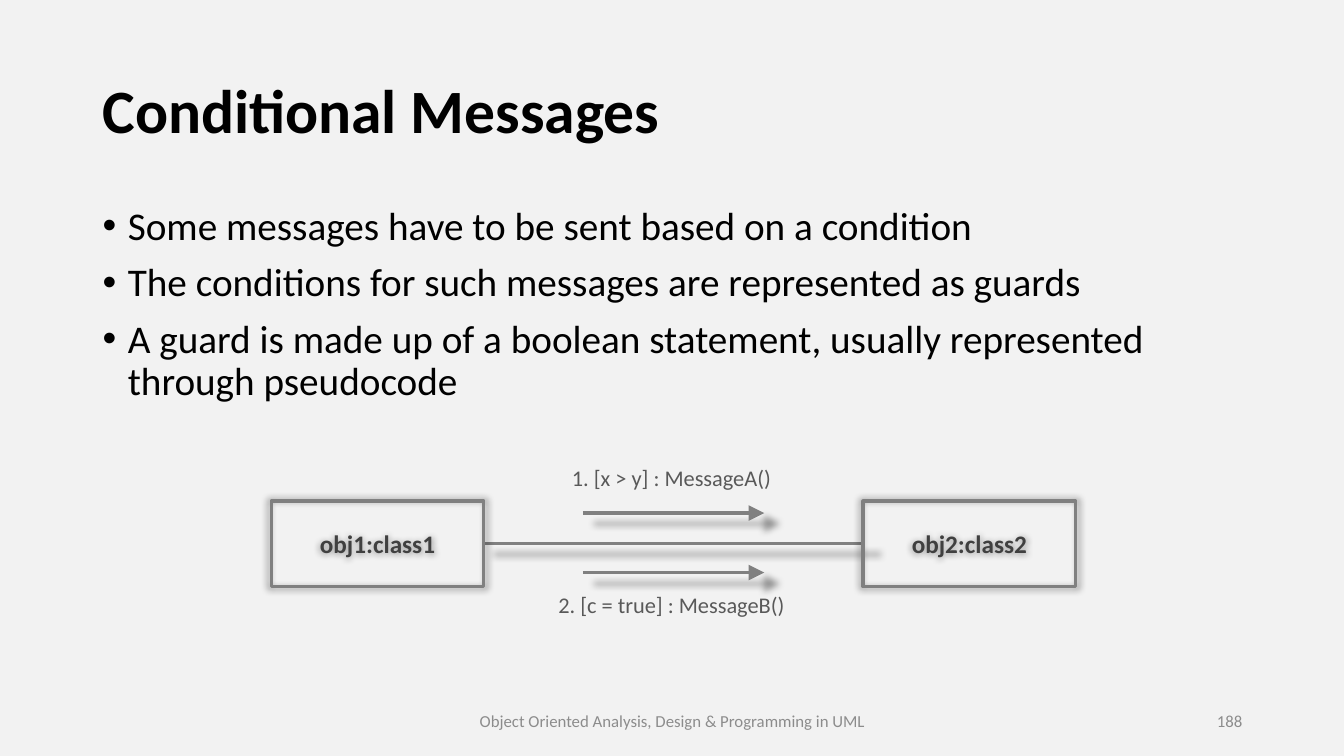
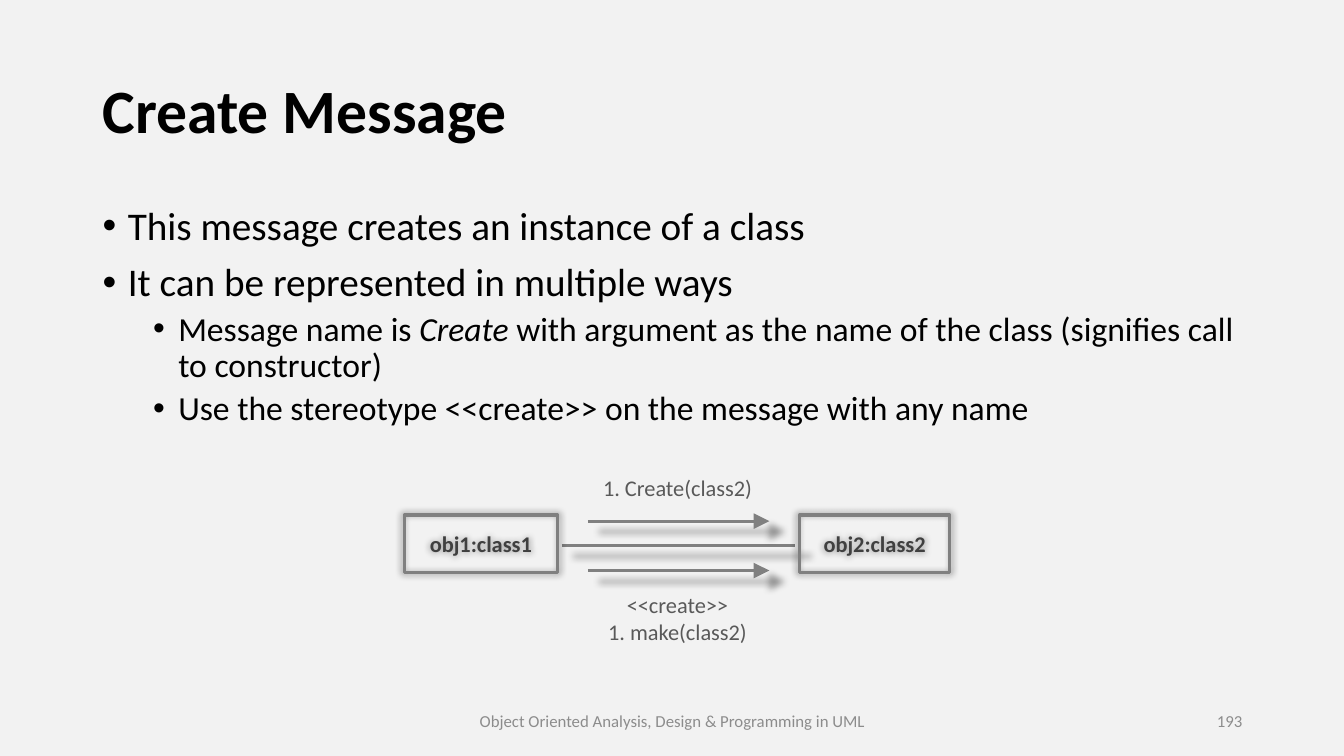
from lxml.etree import SubElement
from pptx import Presentation
from pptx.dml.color import RGBColor
from pptx.enum.shapes import MSO_CONNECTOR, MSO_SHAPE
from pptx.enum.text import MSO_ANCHOR, PP_ALIGN
from pptx.oxml.ns import qn
from pptx.util import Inches, Pt

# Shared look
WIDE, HIGH = 13.33, 7.5
LEFT, SPAN = 0.92, 11.5
FONT = "Calibri"
BACK, INK, GREY, DARK, MID, PALE = (
    "F2F2F2", "000000", "808080", "404040", "595959", "8C8C8C")
FOOT = "Object Oriented Analysis, Design & Programming in UML"
LEVELS = [(28, 10, 0.25), (24, 5, 0.75)]  # size, space before, indent
REACH = 1.8  # length of a message arrow

# Content: bullets are (level, [(text, italic), ...]);
# objects are (name, left, width); messages are (arrow y, label y, lines)
SLIDES = [
    dict(
        title="Conditional Messages", page="188",
        bullets=[
            (0, [("Some messages have to be sent based on a condition", False)]),
            (0, [("The conditions for such messages are represented as guards", False)]),
            (0, [("A guard is made up of a boolean statement, usually "
                  "represented through pseudocode", False)]),
        ],
        objects=[("obj1:class1", 2.69, 2.11), ("obj2:class2", 8.56, 2.11)],
        top=4.97, tall=0.85, size=18, link=5.39, gap=0, start=5.78,
        messages=[(5.09, 4.56, ["1. [x > y] : MessageA()"]),
                  (5.68, 5.82, ["2. [c = true] : MessageB()"])],
        middle=6.66,
    ),
    dict(
        title="Create Message", page="193",
        bullets=[
            (0, [("This message creates an instance of a class", False)]),
            (0, [("It can be represented in multiple ways", False)]),
            (1, [("Message name is ", False), ("Create", True),
                 (" with argument as the name of the class "
                  "(signifies call to constructor)", False)]),
            (1, [("Use the stereotype <<create>> on the message with any name", False)]),
        ],
        objects=[("obj1:class1", 4.01, 1.52), ("obj2:class2", 7.93, 1.49)],
        top=5.11, tall=0.57, size=16, link=5.41, gap=0.04, start=5.83,
        messages=[(5.17, 4.65, ["1. Create(class2)"]),
                  (5.66, 5.82, ["<<create>>", "1. make(class2)"])],
        middle=6.72,
    ),
]


def paint(code):
    return RGBColor.from_string(code)


def add_run(para, text, size, color, bold=False, italic=False):
    run = para.add_run()
    run.text = text
    font = run.font
    font.name, font.size, font.bold, font.italic = FONT, Pt(size), bold, italic
    font.color.rgb = paint(color)


def add_box(slide, x, y, w, h, anchor=MSO_ANCHOR.MIDDLE):
    box = slide.shapes.add_textbox(*map(Inches, (x, y, w, h)))
    box.text_frame.word_wrap = True
    box.text_frame.vertical_anchor = anchor
    return box


def add_text(slide, area, text, size, color, align, bold=False):
    para = add_box(slide, *area).text_frame.paragraphs[0]
    para.alignment = align
    add_run(para, text, size, color, bold)
    return para


def next_para(frame, index):
    return frame.add_paragraph() if index else frame.paragraphs[0]


def add_glow(shape):
    """Soft shadow, slightly larger than the shape."""
    effects = SubElement(shape._element.spPr, qn("a:effectLst"))
    shade = SubElement(effects, qn("a:outerShdw"), blurRad=str(Pt(5)),
                       sx="102000", sy="102000", algn="ctr", rotWithShape="0")
    black = SubElement(shade, qn("a:prstClr"), val="black")
    SubElement(black, qn("a:alpha"), val="40000")


def set_line(shape):
    shape.line.color.rgb = paint(GREY)
    shape.line.width = Pt(2.25)


def add_line(slide, x, end, y, arrow=False):
    line = slide.shapes.add_connector(
        MSO_CONNECTOR.STRAIGHT, *map(Inches, (x, y, end, y)))
    set_line(line)
    if arrow:
        SubElement(line.line._get_or_add_ln(), qn("a:tailEnd"),
                   type="triangle", w="lg", len="lg")
    add_glow(line)


def add_frame(slide, item):
    """Title, footer and page number."""
    title = add_text(slide, (LEFT, 0.4, SPAN, 1.45), item["title"],
                     44, INK, PP_ALIGN.LEFT, True)
    title.line_spacing = 0.9
    add_text(slide, (4.42, 6.95, 4.5, 0.4), FOOT, 12, PALE, PP_ALIGN.CENTER)
    add_text(slide, (LEFT + SPAN - 3, 6.95, 3, 0.4), item["page"],
             12, PALE, PP_ALIGN.RIGHT)


def add_list(slide, bullets):
    frame = add_box(slide, LEFT, 2, SPAN, 2.55, MSO_ANCHOR.TOP).text_frame
    for index, (level, runs) in enumerate(bullets):
        size, before, indent = LEVELS[level]
        para = next_para(frame, index)
        props = para._p.get_or_add_pPr()
        props.set("marL", str(Inches(indent)))
        props.set("indent", str(-Inches(0.25)))
        SubElement(props, qn("a:buFont"), typeface="Arial")
        SubElement(props, qn("a:buChar"), char="•")
        para.level = level
        para.line_spacing = 0.9
        if index:
            para.space_before = Pt(before)
        for text, italic in runs:
            add_run(para, text, size, INK, italic=italic)


def add_scheme(slide, item):
    """Two linked objects with the messages sent between them."""
    (_, left, width), (_, right, _) = item["objects"]
    add_line(slide, left + width + item["gap"], right - item["gap"], item["link"])
    for name, x, w in item["objects"]:
        box = slide.shapes.add_shape(
            MSO_SHAPE.RECTANGLE, *map(Inches, (x, item["top"], w, item["tall"])))
        box.fill.background()
        set_line(box)
        add_glow(box)
        box.text_frame.vertical_anchor = MSO_ANCHOR.MIDDLE
        para = box.text_frame.paragraphs[0]
        para.alignment = PP_ALIGN.CENTER
        add_run(para, name, item["size"], DARK, True)
    for y, top, lines in item["messages"]:
        add_line(slide, item["start"], item["start"] + REACH, y, True)
        frame = add_box(slide, item["middle"] - 1.5, top, 3,
                        0.1 + 0.27 * len(lines), MSO_ANCHOR.TOP).text_frame
        for index, text in enumerate(lines):
            para = next_para(frame, index)
            para.alignment = PP_ALIGN.CENTER
            add_run(para, text, 16, MID)


def main():
    prs = Presentation()
    prs.slide_width, prs.slide_height = Inches(WIDE), Inches(HIGH)
    fill = prs.slide_master.background.fill
    fill.solid()
    fill.fore_color.rgb = paint(BACK)
    for item in SLIDES:
        slide = prs.slides.add_slide(prs.slide_layouts[6])
        add_frame(slide, item)
        add_list(slide, item["bullets"])
        add_scheme(slide, item)
    prs.save("out.pptx")


if __name__ == "__main__":
    main()
